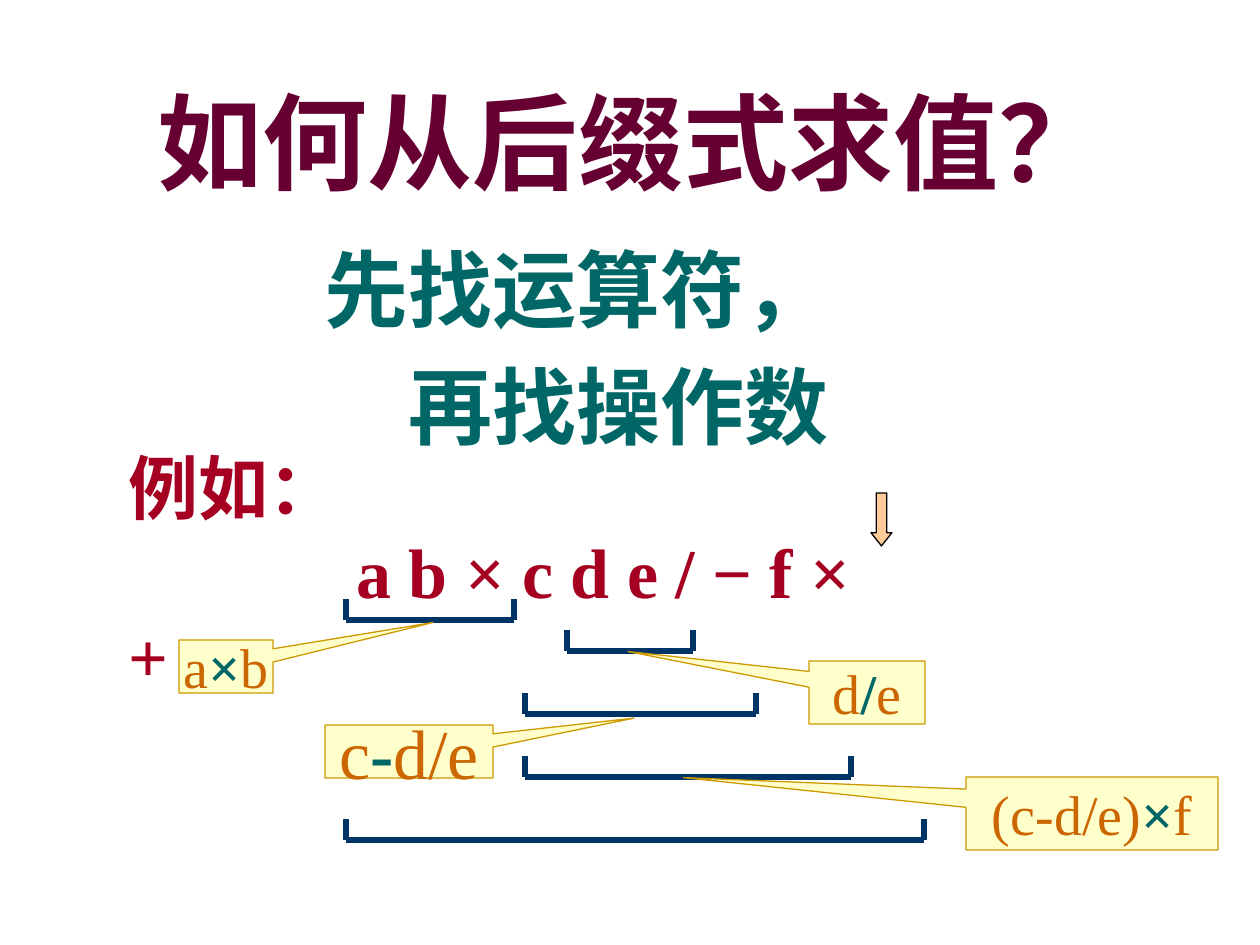
import pptx
import pptx.util
import pptx.dml.color
import pptx.enum.shapes
import pptx.enum.text
import pptx.oxml.ns
import lxml.etree

EMU_PER_PX = 914400 / 126
FONT = "Times New Roman"
ALIGN = pptx.enum.text.PP_ALIGN
ANCHOR = pptx.enum.text.MSO_ANCHOR
SHAPE = pptx.enum.shapes.MSO_SHAPE

# box, anchor, size, colour, space before, paragraphs as (text, align, left margin, first indent)
TEXTS = [
    ((95, 72, 1071, 138), ANCHOR.MIDDLE, 60, "660033", 0,
     [("如何从后缀式求值？", ALIGN.CENTER, 0, 0)]),
    ((136, 231, 882, 242), ANCHOR.TOP, 48, "006666", 9.6,
     [("先找运算符，", ALIGN.CENTER, 0, 0), ("再找操作数", ALIGN.CENTER, 84, 0)]),
    ((116, 438, 801, 180), ANCHOR.TOP, 40, "A50021", 0,
     [("例如：", ALIGN.LEFT, 0, 0), ("a b × c d e / − f ×\v+", ALIGN.LEFT, 0, 228)]),
]
BRACKETS = [(346, 514, 620), (567, 693, 651), (525, 756, 714), (525, 851, 777), (346, 924, 840)]
BRACKET_HEIGHT = 21
CALLOUTS = [
    ((179, 640, 94, 53), (2.2, -0.83), 32, ("a", "×", "b")),
    ((809, 661, 116, 63), (-2.06, -0.65), 32, ("d", "/", "e")),
    ((325, 725, 168, 53), (1.34, -0.63), 40, ("c", "-", "d/e")),
    ((966, 777, 252, 73), (-1.62, -0.49), 32, ("(c-d/e)", "×", "f")),
]
ARROW = (871, 493, 21, 53)


def px(value):
    return pptx.util.Emu(round(value * EMU_PER_PX))


def colour(target, value):
    target.rgb = pptx.dml.color.RGBColor.from_string(value)


def style_font(font, size, value, bold):
    font.name, font.size, font.bold = FONT, pptx.util.Pt(size), bold
    colour(font.color, value)


def add_text(page, box, anchor, size, value, space, paragraphs):
    frame = page.shapes.add_textbox(*map(px, box)).text_frame
    frame.word_wrap = True
    frame.vertical_anchor = anchor
    for index, (text, align, margin, indent) in enumerate(paragraphs):
        para = frame.add_paragraph() if index else frame.paragraphs[0]
        para.text = text
        para.alignment = align
        if index:
            para.space_before = pptx.util.Pt(space)
        properties = para._p.get_or_add_pPr()
        properties.set("marL", str(px(margin)))
        properties.set("indent", str(px(indent)))
        style_font(para.font, size, value, True)


def add_line(page, *ends):
    line = page.shapes.add_connector(pptx.enum.shapes.MSO_CONNECTOR.STRAIGHT, *map(px, ends))
    colour(line.line.color, "003366")
    line.line.width = pptx.util.Pt(3)
    lxml.etree.SubElement(line._element.spPr, pptx.oxml.ns.qn("a:effectLst"))


def add_bracket(page, left, right, base):
    add_line(page, left, base, right, base)
    for side in (left, right):
        add_line(page, side, base - BRACKET_HEIGHT, side, base)


def add_shape(page, kind, box, adjustments, fill, outline):
    shape = page.shapes.add_shape(kind, *map(px, box))
    shape.shadow.inherit = False
    for index, value in enumerate(adjustments):
        shape.adjustments[index] = value
    shape.fill.solid()
    colour(shape.fill.fore_color, fill)
    colour(shape.line.color, outline)
    shape.line.width = pptx.util.Pt(0.75)
    return shape


def add_callout(page, box, tip, size, parts):
    frame = add_shape(page, SHAPE.RECTANGULAR_CALLOUT, box, tip, "FFFFCC", "CC9900").text_frame
    frame.word_wrap = False
    frame.vertical_anchor = ANCHOR.MIDDLE
    para = frame.paragraphs[0]
    para.alignment = ALIGN.CENTER
    for index, text in enumerate(parts):
        span = para.add_run()
        span.text = text
        operator = index == 1
        style_font(span.font, size, "006666" if operator else "CC6600", operator)


def main():
    deck = pptx.Presentation()
    deck.slide_width, deck.slide_height = px(1260), px(945)
    page = deck.slides.add_slide(deck.slide_layouts[6])
    for text in TEXTS:
        add_text(page, *text)
    for bracket in BRACKETS:
        add_bracket(page, *bracket)
    for callout in CALLOUTS:
        add_callout(page, *callout)
    add_shape(page, SHAPE.DOWN_ARROW, ARROW, (0.5, 0.63), "FFCC99", "000000")
    deck.save("out.pptx")


if __name__ == "__main__":
    main()
